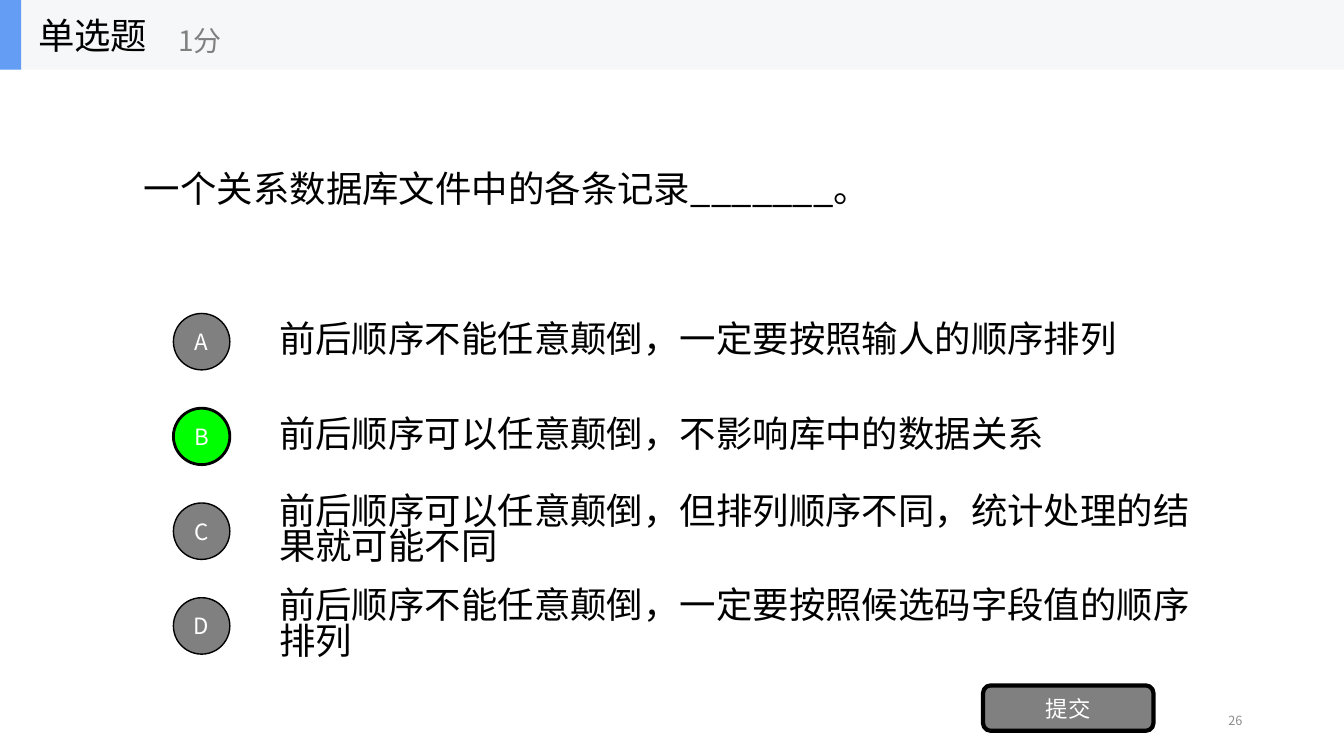
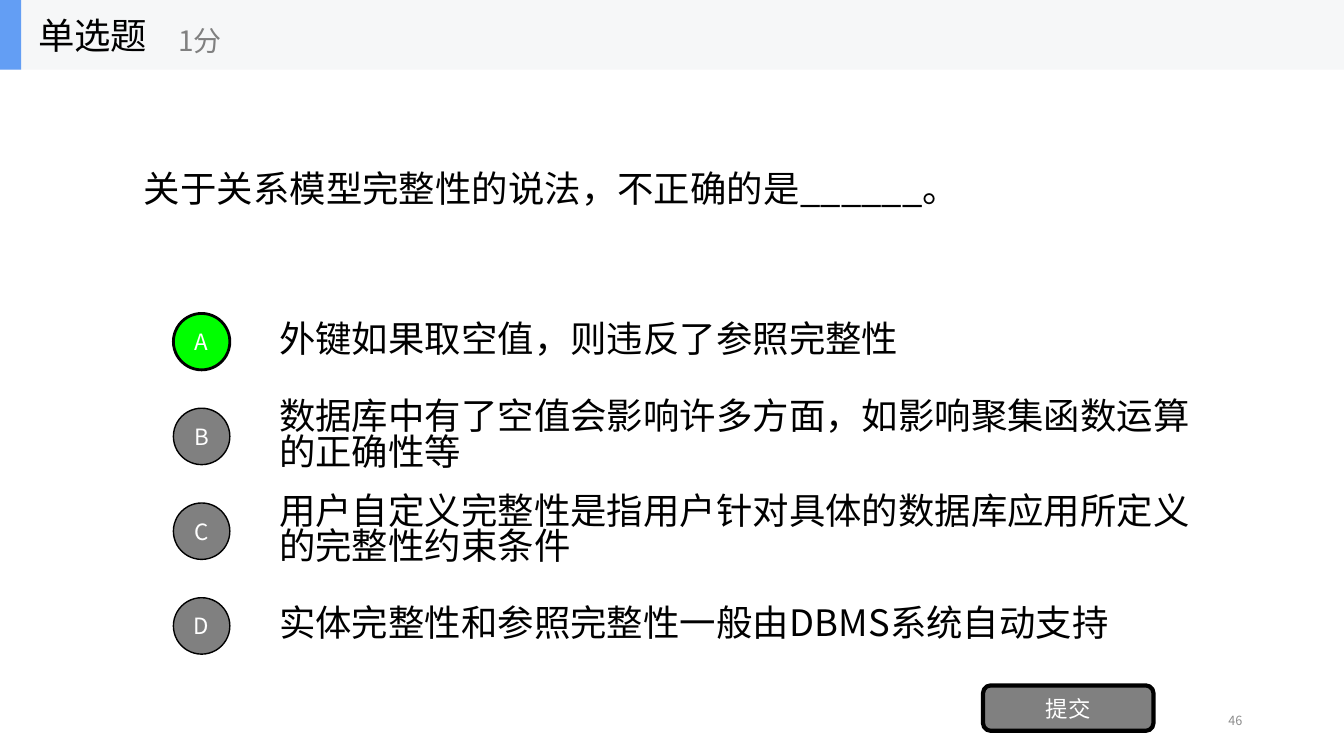
from pptx import Presentation
from pptx.dml.color import RGBColor
from pptx.enum.shapes import MSO_SHAPE
from pptx.enum.text import MSO_ANCHOR, PP_ALIGN
from pptx.oxml.ns import qn
from pptx.util import Inches, Pt

RECT, ROUNDED, OVAL = MSO_SHAPE.RECTANGLE, MSO_SHAPE.ROUNDED_RECTANGLE, MSO_SHAPE.OVAL
LEFT, CENTER, RIGHT = PP_ALIGN.LEFT, PP_ALIGN.CENTER, PP_ALIGN.RIGHT
MIDDLE = MSO_ANCHOR.MIDDLE

# Content: page number, question, options, letter of the answer
QUESTIONS = [
    {
        "page": "26",
        "question": "一个关系数据库文件中的各条记录_______。",
        "options": [
            "前后顺序不能任意颠倒，一定要按照输人的顺序排列",
            "前后顺序可以任意颠倒，不影响库中的数据关系",
            "前后顺序可以任意颠倒，但排列顺序不同，统计处理的结果就可能不同",
            "前后顺序不能任意颠倒，一定要按照候选码字段值的顺序排列",
        ],
        "answer": "B",
    },
    {
        "page": "46",
        "question": "关于关系模型完整性的说法，不正确的是______。",
        "options": [
            "外键如果取空值，则违反了参照完整性",
            "数据库中有了空值会影响许多方面，如影响聚集函数运算的正确性等",
            "用户自定义完整性是指用户针对具体的数据库应用所定义的完整性约束条件",
            "实体完整性和参照完整性一般由DBMS系统自动支持",
        ],
        "answer": "A",
    },
]
HEADING, SCORE, SUBMIT = "单选题", "1分", "提交"

# Shared style
FONT = "Noto Sans CJK SC"
BLACK, WHITE, GRAY, GREEN = "000000", "FFFFFF", "808080", "00FF00"
BAND, ACCENT, PAGE_GRAY = "F6F7F8", "639EF4", "8C8C8C"
SLIDE_W, SLIDE_H, BAND_H = 13.33, 7.5, 0.69
OPTION_TOP, OPTION_STEP, OPTION_H = 3.04, 0.94, 0.7
BADGE = 0.56
OPTION_SPACING = 0.82


def rgb(color):
    return RGBColor.from_string(color)


def write(shape, text, size, color, align=LEFT, spacing=None):
    frame = shape.text_frame
    frame.word_wrap = True
    frame.vertical_anchor = MIDDLE
    frame.text = text
    paragraph = frame.paragraphs[0]
    paragraph.alignment = align
    if spacing:
        paragraph.line_spacing = spacing
    font = paragraph.runs[0].font
    font.size, font.name = Pt(size), FONT
    font.color.rgb = rgb(color)
    # Chinese characters take the East Asian typeface
    east_asian = font._element.makeelement(qn("a:ea"), {"typeface": FONT})
    font._element.find(qn("a:latin")).addnext(east_asian)


def add_text(slide, box, text, size, color=BLACK, align=LEFT, spacing=None):
    label = slide.shapes.add_textbox(*map(Inches, box))
    write(label, text, size, color, align, spacing)


def add_block(slide, kind, box, fill, line_width=0):
    block = slide.shapes.add_shape(kind, *map(Inches, box))
    block.shadow.inherit = False
    block.fill.solid()
    block.fill.fore_color.rgb = rgb(fill)
    if line_width:
        block.line.color.rgb = rgb(BLACK)
        block.line.width = Pt(line_width)
    else:
        block.line.fill.background()
    return block


def add_button(slide, kind, box, text, fill, line_width):
    button = add_block(slide, kind, box, fill, line_width)
    frame = button.text_frame
    frame.margin_left = frame.margin_right = 0
    frame.margin_top = frame.margin_bottom = 0
    write(button, text, 16, WHITE, CENTER)


def add_header(slide):
    add_block(slide, RECT, (0, 0, SLIDE_W, BAND_H), BAND)
    add_block(slide, RECT, (0, 0, 0.21, BAND_H), ACCENT)
    add_text(slide, (0.28, 0, 2.08, BAND_H), HEADING, 26)
    add_text(slide, (1.67, 0.12, 2.5, 0.56), SCORE, 20, GRAY)


def add_question(slide, item):
    add_text(slide, (9.42, 6.95, 3, 0.4), item["page"], 9, PAGE_GRAY, RIGHT)
    add_text(slide, (1.33, BAND_H, 10.67, 2.34), item["question"], 26)

    # Options, each with a lettered badge centred on its row
    for row, (letter, option) in enumerate(zip("ABCD", item["options"])):
        top = OPTION_TOP + row * OPTION_STEP
        add_text(slide, (2.67, top, 9.33, OPTION_H), option, 26,
                 spacing=OPTION_SPACING)
        fill, line_width = (GREEN, 2) if letter == item["answer"] else (GRAY, 1)
        badge_top = top + (OPTION_H - BADGE) / 2
        add_button(slide, OVAL, (1.72, badge_top, BADGE, BADGE), letter, fill, line_width)

    add_button(slide, ROUNDED, (9.75, 6.8, 1.69, 0.45), SUBMIT, GRAY, 3)


def main():
    deck = Presentation()
    deck.slide_width, deck.slide_height = Inches(SLIDE_W), Inches(SLIDE_H)
    blank = deck.slide_layouts[6]
    for item in QUESTIONS:
        slide = deck.slides.add_slide(blank)
        add_question(slide, item)
        add_header(slide)
    deck.save("out.pptx")


if __name__ == "__main__":
    main()
